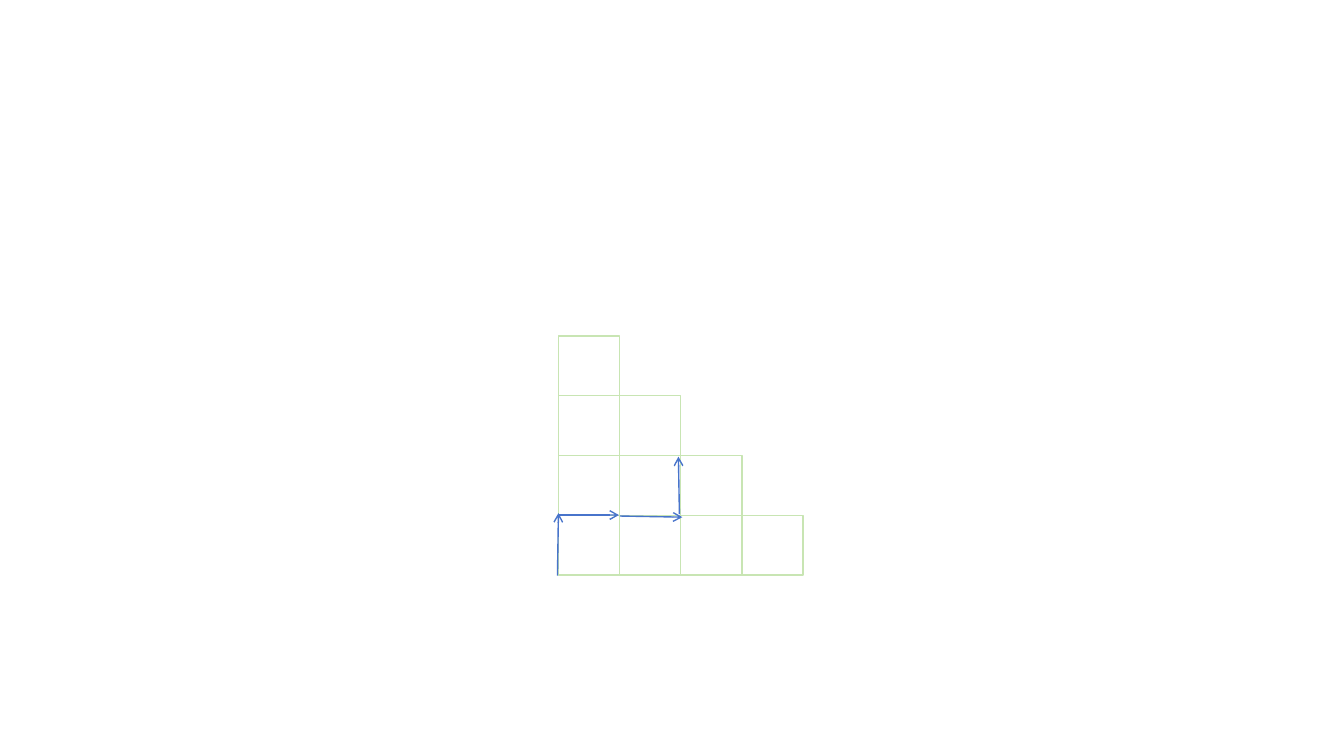
from lxml.etree import SubElement
from pptx import Presentation
from pptx.dml.color import RGBColor
from pptx.enum.shapes import MSO_CONNECTOR, MSO_SHAPE
from pptx.oxml.ns import qn
from pptx.util import Pt

STEPS = 4
GRID_GREEN = "C8E5B3"
PATH_BLUE = "4874CB"
# Start and end of each move, in points from the staircase's top left corner
MOVES = [
    ((-0.7, 171.1), (0, 126.5)),
    ((0, 127.9), (43.2, 127.9)),
    ((43.9, 128.6), (88.5, 129.4)),
    ((86.4, 127.2), (85.7, 86.2)),
]


def color(hex_code):
    return RGBColor.from_string(hex_code)


def set_line(part, hex_code):
    part.line.color.rgb = color(hex_code)
    part.line.width = Pt(1)


def add_staircase(slide, left, top, width, height):
    """Draw rows of cells that grow by one cell from top to bottom."""
    cell_width, cell_height = width / STEPS, height / STEPS
    for row in range(STEPS):
        for column in range(row + 1):
            cell = slide.shapes.add_shape(
                MSO_SHAPE.RECTANGLE,
                Pt(left + column * cell_width), Pt(top + row * cell_height),
                Pt(cell_width), Pt(cell_height))
            cell.shadow.inherit = False
            cell.fill.solid()
            cell.fill.fore_color.rgb = color("FFFFFF")
            set_line(cell, GRID_GREEN)


def add_lattice_path(slide, left, top):
    for (x1, y1), (x2, y2) in MOVES:
        move = slide.shapes.add_connector(
            MSO_CONNECTOR.STRAIGHT,
            Pt(left + x1), Pt(top + y1), Pt(left + x2), Pt(top + y2))
        set_line(move, PATH_BLUE)
        SubElement(move.line._get_or_add_ln(), qn("a:tailEnd"), type="arrow")
        SubElement(move._element.spPr, qn("a:effectLst"))


def main():
    deck = Presentation()
    deck.slide_width, deck.slide_height = Pt(960), Pt(540)
    slide = deck.slides.add_slide(deck.slide_layouts[6])
    left, top = 398.9, 240
    add_staircase(slide, left, top, 174.8, 170.8)
    add_lattice_path(slide, left, top)
    deck.save("out.pptx")


if __name__ == "__main__":
    main()
